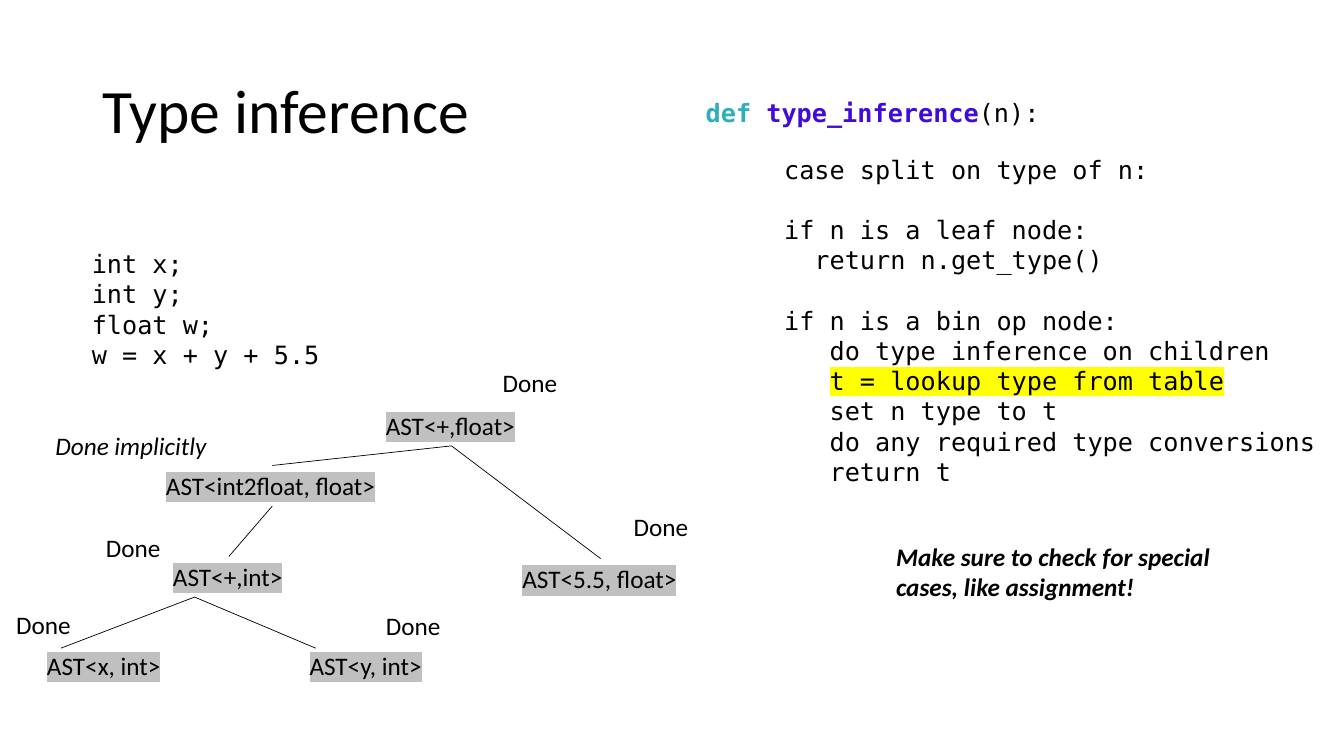
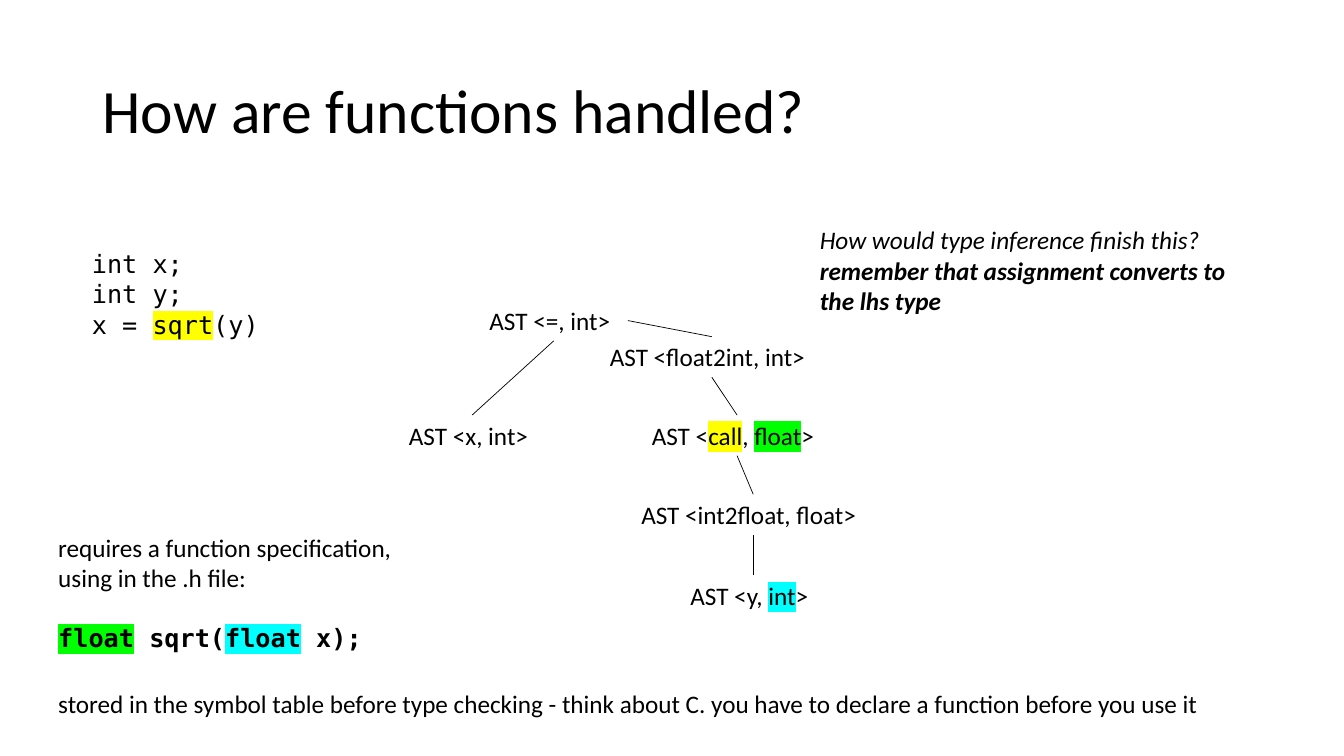
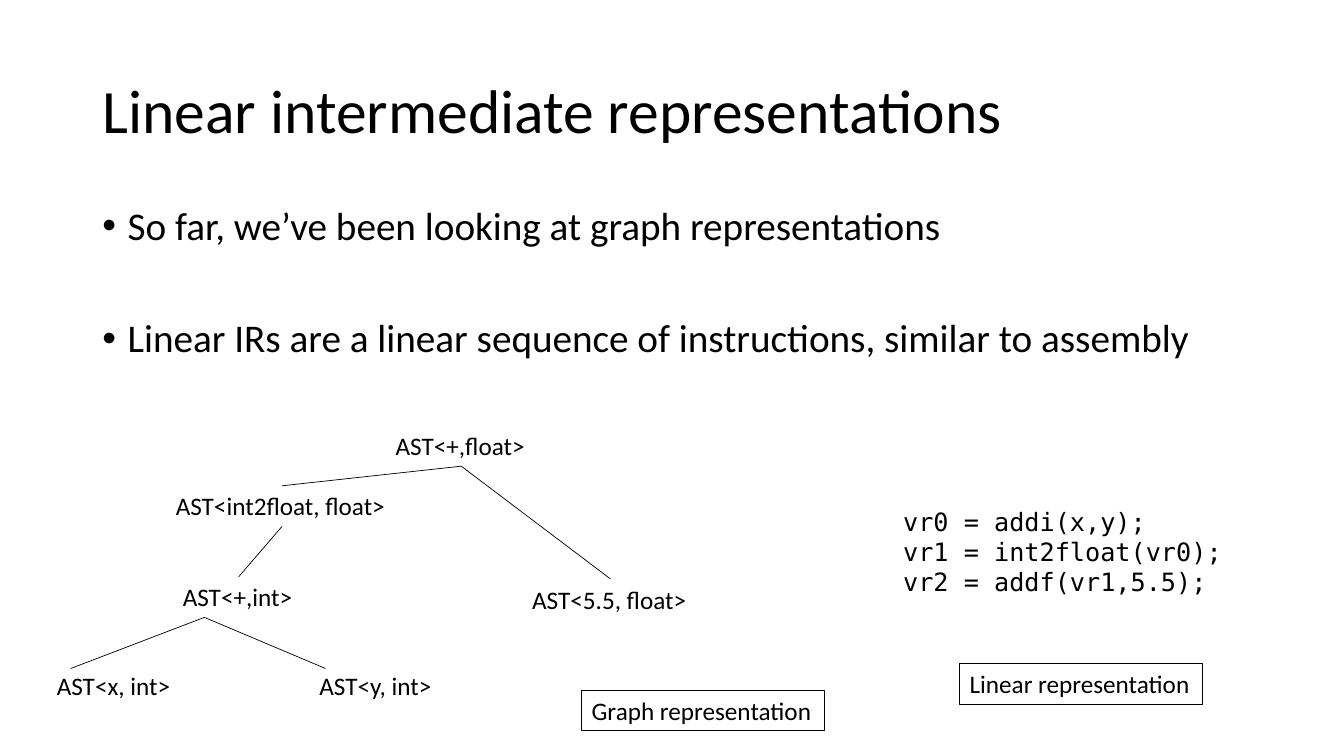
from dataclasses import dataclass

from lxml.etree import SubElement
from pptx import Presentation
from pptx.dml.color import RGBColor
from pptx.enum.shapes import MSO_CONNECTOR, MSO_SHAPE
from pptx.enum.text import MSO_ANCHOR, MSO_AUTO_SIZE as AUTO, PP_ALIGN
from pptx.oxml.ns import qn
from pptx.util import Pt


@dataclass(frozen=True)
class Theme:
    ink: str = "000000"
    keyword: str = "2EAEBB"
    function: str = "400BD9"
    visited: str = "C0C0C0"
    yellow: str = "FFFF00"
    green: str = "00FF00"
    cyan: str = "00FFFF"
    sans: str = "Calibri"
    mono: str = "DejaVu Sans Mono"
    title: int = 44
    bullet: int = 28
    text: int = 18
    tight: float = 0.9
    edge: float = 0.5
    frame: float = 0.75


T = Theme()
TITLE_BOX = (66, 29, 828, 104)
BODY_BOX = (66, 144, 852.5, 150)
ROW = 29
BLANK_LINE = 21.5
TOP, RIGHT, BOTTOM = 0, 3, 2

DECLARATIONS = ["int x;", "int y;", "float w;", "w = x + y + 5.5"]
SIGNATURE = [[("def ", dict(color=T.keyword, bold=True)),
              ("type_inference", dict(color=T.function, bold=True)), "(n):"]]
ALGORITHM = [
    "case split on type of n:",
    "if n is a leaf node:",
    "  return n.get_type()",
    "if n is a bin op node:",
    "   do type inference on children",
    ["   ", ("t = lookup type from table", dict(highlight=T.yellow))],
    "   set n type to t",
    "   do any required type conversions",
    "   return t",
]
REMINDER = ["Make sure to check for special", "cases, like assignment!"]
DONE_SPOTS = [(4.5, 431.5), (268.5, 432.5), (68.5, 376.5), (445.5, 362), (352, 258.5)]

SUM_NODES = {
    "sum": ("AST<+,float>", 268.5, 289.5, 108),
    "cast": ("AST<int2float, float>", 111.5, 332.5, 166),
    "inner": ("AST<+,int>", 116.5, 397.5, 94),
    "literal": ("AST<5.5, float>", 366, 399, 126),
    "x": ("AST<x, int>", 26.5, 461, 96.5),
    "y": ("AST<y, int>", 214, 461, 96),
}
SUM_EDGES = [("sum", BOTTOM, "cast"), ("sum", BOTTOM, "literal"), ("cast", BOTTOM, "inner")]
SUM_LOOSE_EDGES = [((139, 426.5), (43.5, 463)), ((139, 426.5), (225.5, 463))]
SUM_SHIFT = (7, 14.5)

SQRT_CODE = ["int x;", "int y;", ["x = ", ("sqrt", dict(highlight=T.yellow)), "(y)"]]
CALL_NODES = {
    "assign": ("AST <=, int>", 342.5, 214.5, 106),
    "x": ("AST <x, int>", 285, 296.5, 104.5),
    "to_int": ("AST <float2int, int>", 428.5, 240.5, 160),
    "call": (["AST <", ("call", dict(highlight=T.yellow)), ", ",
              ("float", dict(highlight=T.green)), ">"], 458.5, 296.5, 136),
    "to_float": ("AST <int2float, float>", 451, 353, 174),
    "y": (["AST <y, ", ("int", dict(highlight=T.cyan)), ">"], 486, 411, 104),
}
CALL_EDGES = [("assign", BOTTOM, "x"), ("assign", RIGHT, "to_int"), ("to_int", BOTTOM, "call"),
              ("call", BOTTOM, "to_float"), ("to_float", BOTTOM, "y")]
SPECIFICATION = [
    "requires a function specification,",
    "using in the .h file:",
    [("float", dict(font=T.mono, bold=True, highlight=T.green)),
     (" sqrt(", dict(font=T.mono, bold=True)),
     ("float", dict(font=T.mono, bold=True, highlight=T.cyan)),
     (" x);", dict(font=T.mono, bold=True))],
]
STORAGE = ["stored in the symbol table before type checking - think about C. "
           "you have to declare a function before you use it"]
QUESTION = [
    "How would type inference finish this?",
    [("remember that assignment converts to", dict(bold=True))],
    [("the lhs type", dict(bold=True))],
]

BULLETS = ["So far, we’ve been looking at graph representations",
           "Linear IRs are a linear sequence of instructions, similar to assembly"]
LINEAR_CODE = ["vr0 = addi(x,y);", "vr1 = int2float(vr0);", "vr2 = addf(vr1,5.5);"]
CAPTIONS = [("Graph representation", 415.5, 493), ("Linear representation", 685.5, 474)]


def points(*lengths):
    return [Pt(length) for length in lengths]


def format_run(run, font=T.sans, size=T.text, color=T.ink, bold=False, italic=False,
               highlight=None):
    face = run.font
    face.size, face.bold, face.italic = Pt(size), bold, italic
    face.color.rgb = RGBColor.from_string(color)
    if highlight:
        mark = SubElement(face._element, qn("a:highlight"))
        SubElement(mark, qn("a:srgbClr")).set("val", highlight)
    face.name = font


def write(frame, lines, spacing=None, gaps=None, bullet=None, **style):
    for number, line in enumerate(lines):
        paragraph = frame.add_paragraph() if number else frame.paragraphs[0]
        if bullet:
            props = paragraph._p.get_or_add_pPr()
            props.set("marL", str(Pt(18)))
            props.set("indent", str(-Pt(18)))
            SubElement(props, qn("a:buFont")).set("typeface", "Arial")
            SubElement(props, qn("a:buChar")).set("char", bullet)
        paragraph.alignment = PP_ALIGN.LEFT
        paragraph.space_before = Pt((gaps or {}).get(number, 0))
        if spacing:
            paragraph.line_spacing = spacing
        for piece in [line] if isinstance(line, str) else line:
            words, change = (piece, {}) if isinstance(piece, str) else piece
            run = paragraph.add_run()
            run.text = words
            format_run(run, **{**style, **change})


def text_box(slide, lines, left, top, width, height=ROW, wrap=False, **style):
    box = slide.shapes.add_textbox(*points(left, top, width, height))
    box.text_frame.word_wrap = wrap
    box.text_frame.auto_size = AUTO.SHAPE_TO_FIT_TEXT
    write(box.text_frame, lines, **style)
    return box


def caption(slide, words, left, top):
    box = slide.shapes.add_shape(MSO_SHAPE.RECTANGLE, *points(left, top, 173.5, ROW))
    box.shadow.inherit = False
    box.fill.background()
    box.line.color.rgb = RGBColor.from_string(T.ink)
    box.line.width = Pt(T.frame)
    box.text_frame.word_wrap = False
    box.text_frame.vertical_anchor = MSO_ANCHOR.TOP
    write(box.text_frame, [words])


def edge(slide, start=(0, 0), end=(0, 0)):
    line = slide.shapes.add_connector(MSO_CONNECTOR.STRAIGHT, *points(*start, *end))
    line.line.color.rgb = RGBColor.from_string(T.ink)
    line.line.width = Pt(T.edge)
    SubElement(line._element.spPr, qn("a:effectLst"))
    return line


def tree(slide, nodes, edges, loose_edges=(), shift=(0, 0), **style):
    dx, dy = shift
    boxes = {key: text_box(slide, [label], left + dx, top + dy, width, **style)
             for key, (label, left, top, width) in nodes.items()}
    for parent, side, child in edges:
        line = edge(slide)
        line.begin_connect(boxes[parent], side)
        line.end_connect(boxes[child], TOP)
    for ends in loose_edges:
        edge(slide, *[(x + dx, y + dy) for x, y in ends])


def fill_placeholder(holder, place, lines, anchor, **style):
    holder.left, holder.top, holder.width, holder.height = points(*place)
    frame = holder.text_frame
    frame.word_wrap = True
    frame.auto_size = AUTO.NONE
    frame.vertical_anchor = anchor
    write(frame, lines, spacing=T.tight, **style)


def new_slide(deck, title, layout=5):
    slide = deck.slides.add_slide(deck.slide_layouts[layout])
    fill_placeholder(slide.shapes.title, TITLE_BOX, [title], MSO_ANCHOR.MIDDLE, size=T.title)
    return slide


def type_inference(deck):
    slide = new_slide(deck, "Type inference")
    text_box(slide, DECLARATIONS, 58.5, 174, 177, 94.5, font=T.mono)
    text_box(slide, SIGNATURE, 497, 66, 256, font=T.mono)
    text_box(slide, ALGORITHM, 553, 106.5, 394.5, 247, font=T.mono,
             gaps={1: BLANK_LINE, 3: BLANK_LINE})
    tree(slide, SUM_NODES, SUM_EDGES, SUM_LOOSE_EDGES, highlight=T.visited)
    for left, top in DONE_SPOTS:
        text_box(slide, ["Done"], left, top, 54)
    text_box(slide, ["Done implicitly"], 32.5, 304, 125, italic=True)
    text_box(slide, REMINDER, 633, 383, 241, 51, bold=True, italic=True)


def functions(deck):
    slide = new_slide(deck, "How are functions handled?")
    text_box(slide, SQRT_CODE, 58.5, 174, 159, 72.5, wrap=True, font=T.mono)
    tree(slide, CALL_NODES, CALL_EDGES)
    text_box(slide, SPECIFICATION, 34.5, 376.5, 255.5, 94.5, gaps={2: BLANK_LINE})
    text_box(slide, STORAGE, 34.5, 488, 833)
    text_box(slide, QUESTION, 578.5, 157, 308, 72.5, italic=True)


def linear_representations(deck):
    slide = new_slide(deck, "Linear intermediate representations", layout=1)
    fill_placeholder(slide.placeholders[1], BODY_BOX, BULLETS, MSO_ANCHOR.TOP,
                     size=T.bullet, bullet="•", gaps={1: 50})
    tree(slide, SUM_NODES, SUM_EDGES, SUM_LOOSE_EDGES, SUM_SHIFT)
    text_box(slide, LINEAR_CODE, 638, 358, 242.5, 72.5, font=T.mono)
    for words, left, top in CAPTIONS:
        caption(slide, words, left, top)


def main():
    deck = Presentation()
    deck.slide_width, deck.slide_height = points(960, 540)
    for build in (type_inference, functions, linear_representations):
        build(deck)
    deck.save("out.pptx")


if __name__ == "__main__":
    main()
